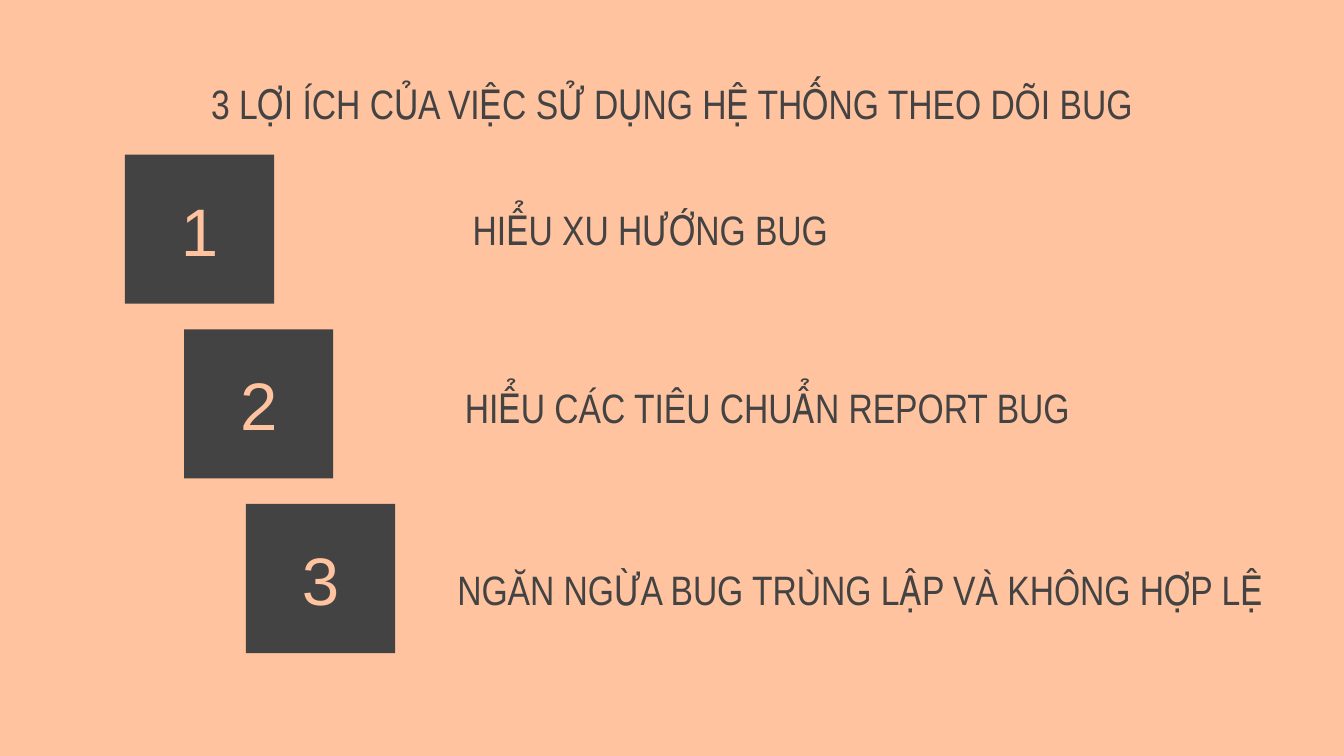
from pptx import Presentation
from pptx.dml.color import RGBColor
from pptx.enum.shapes import MSO_SHAPE
from pptx.enum.text import MSO_ANCHOR, PP_ALIGN
from pptx.util import Inches, Pt

COLORS = {"peach": "FFC39F", "dark": "434343"}


def write(shape, text, size=22, font="Arial Narrow", color="dark",
          anchor=MSO_ANCHOR.BOTTOM, inset=0):
    """Fill a shape with one centred line of formatted text."""
    frame = shape.text_frame
    frame.word_wrap = True
    frame.vertical_anchor = anchor
    frame.margin_left = frame.margin_right = Inches(inset)
    frame.margin_top = frame.margin_bottom = Inches(inset)
    line = frame.paragraphs[0]
    line.alignment = PP_ALIGN.CENTER
    run = line.add_run()
    run.text = text
    run.font.size = Pt(size)
    run.font.name = font
    run.font.color.rgb = RGBColor.from_string(COLORS[color])


deck = Presentation()
deck.slide_width = Inches(10)
deck.slide_height = Inches(10 * 9 / 16)
slide = deck.slides.add_slide(deck.slide_layouts[5])
back = slide.background.fill
back.solid()
back.fore_color.rgb = RGBColor.from_string(COLORS["peach"])

wide, high = Inches(8.46), Inches(0.58)
title = slide.shapes.title
title.left, title.top = Inches(0.77), Inches(0.37)
title.width, title.height = wide, high
write(title, "3 LỢI ÍCH CỦA VIỆC SỬ DỤNG HỆ THỐNG THEO DÕI BUG")

# Each benefit: text, left of the square, left and top of the text
items = [
    ("HIỂU XU HƯỚNG BUG", 0.93, 0.61, 1.31),
    ("HIỂU CÁC TIÊU CHUẨN REPORT BUG", 1.37, 1.48, 2.63),
    ("NGĂN NGỪA BUG TRÙNG LẬP VÀ KHÔNG HỢP LỆ", 1.83, 2.17, 3.99),
]
side, first, step = 1.11, 1.15, 1.3
for i, (text, edge, left, top) in enumerate(items):
    square = slide.shapes.add_shape(
        MSO_SHAPE.RECTANGLE, Inches(edge), Inches(first + i * step),
        Inches(side), Inches(side))
    square.shadow.inherit = False
    square.fill.solid()
    square.fill.fore_color.rgb = RGBColor.from_string(COLORS["dark"])
    square.line.fill.background()
    write(square, str(i + 1), size=36, font="Arial", color="peach",
          anchor=MSO_ANCHOR.MIDDLE, inset=0.1)

    label = slide.shapes.add_textbox(Inches(left), Inches(top), wide, high)
    write(label, text)

deck.save("out.pptx")
